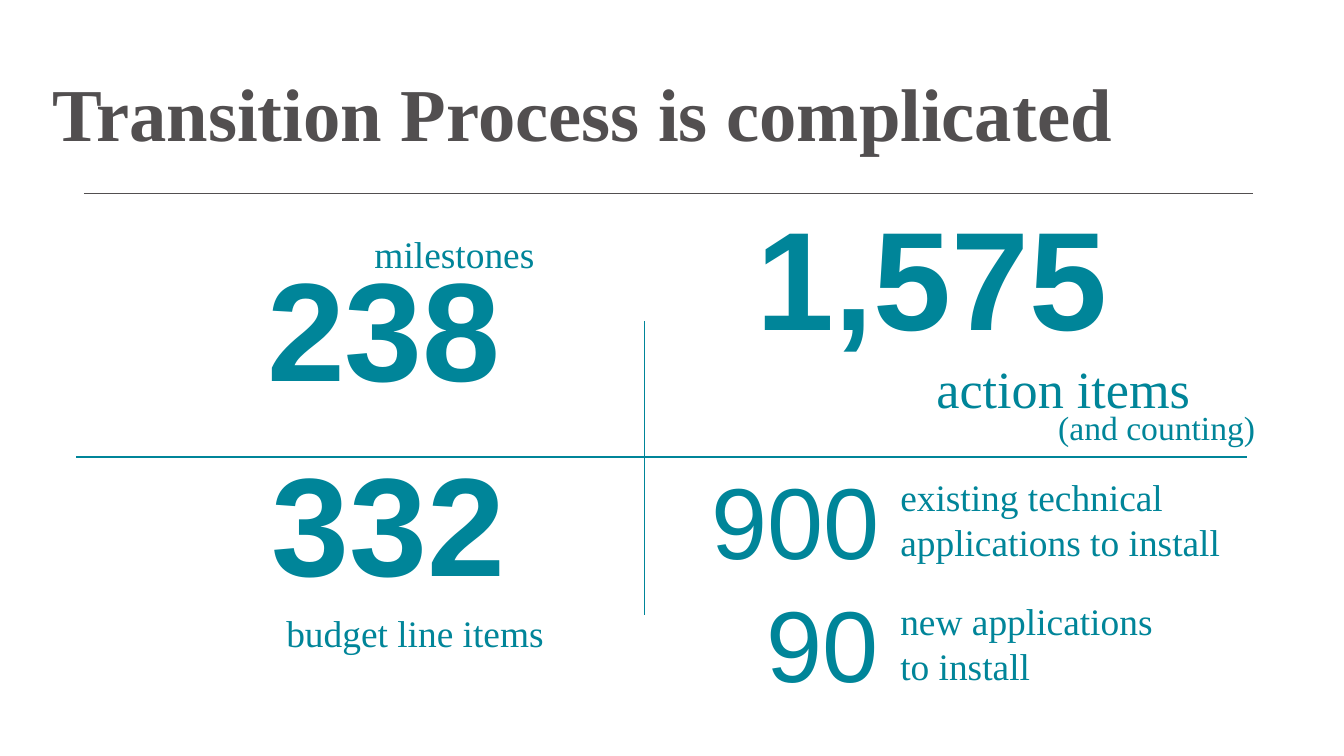
from dataclasses import dataclass
from typing import NamedTuple

from lxml import etree
from pptx import Presentation, util as u
from pptx.dml.color import RGBColor
from pptx.enum import shapes, text
from pptx.oxml.ns import qn


@dataclass(frozen=True)
class Theme:
    teal: RGBColor = RGBColor(0x00, 0x85, 0x99)
    grey: RGBColor = RGBColor(0x52, 0x4F, 0x50)
    serif: str = "Times New Roman"
    sans: str = "Arial"
    title: float = 53.3
    hero: float = 100
    figure: float = 72
    large_label: float = 37.3
    label: float = 26.7
    small_label: float = 24
    rule: float = 1
    hairline: float = 0.75


class Box(NamedTuple):
    """An area of the slide, in grid columns and rows."""
    left: float
    top: float
    width: float
    height: float

    def inside(self, left, top, width, height):
        return Box(self.left + left, self.top + top, width, height)


THEME = Theme()
WIDTH, HEIGHT = u.Inches(13.33), u.Inches(7.5)
COLUMNS, ROWS = 160, 90


def across(columns):
    return round(WIDTH * columns / COLUMNS)


def down(rows):
    return round(HEIGHT * rows / ROWS)


def place(shape, box):
    shape.left, shape.top = across(box.left), down(box.top)
    shape.width, shape.height = across(box.width), down(box.height)


def write(shape, lines, size, font, color=THEME.teal, bold=False, spacing=1.0,
          anchor=text.MSO_ANCHOR.TOP):
    """Fill a shape with one paragraph, a line break between its lines."""
    frame = shape.text_frame
    frame.word_wrap = True
    frame.auto_size = text.MSO_AUTO_SIZE.NONE
    frame.vertical_anchor = anchor
    paragraph = frame.paragraphs[0]
    paragraph.alignment = text.PP_ALIGN.LEFT
    paragraph.line_spacing = spacing
    paragraph.space_before = u.Pt(0)
    for index, line in enumerate(lines):
        if index:
            paragraph.add_line_break()
        run = paragraph.add_run()
        run.text = line
        run.font.size = u.Pt(size)
        run.font.name = font
        run.font.bold = bold
        run.font.color.rgb = color


def add_text_box(slide, box):
    shape = slide.shapes.add_textbox(0, 0, 0, 0)
    place(shape, box)
    return shape


def add_label(slide, box, *lines, size=THEME.label):
    write(add_text_box(slide, box), lines, size, THEME.serif)


def write_number(shape, number, size=THEME.hero, bold=True):
    write(shape, [number], size, THEME.sans, bold=bold, spacing=0.9)


def add_rule(slide, start, end, color=THEME.teal, width=THEME.rule):
    rule = slide.shapes.add_connector(
        shapes.MSO_CONNECTOR.STRAIGHT,
        across(start[0]), down(start[1]), across(end[0]), down(end[1]))
    rule.line.color.rgb = color
    rule.line.width = u.Pt(width)
    etree.SubElement(rule.element.spPr, qn("a:effectLst"))


def add_heading(slide, box):
    title = slide.shapes.title
    place(title, box.inside(0, 0, box.width, 15.4))
    write(title, ["Transition Process is complicated"], THEME.title, THEME.serif,
          THEME.grey, bold=True, spacing=0.9, anchor=text.MSO_ANCHOR.BOTTOM)
    add_rule(slide, (box.left + 5, box.top + 19), (box.left + 144.2, box.top + 19),
             THEME.grey, THEME.hairline)


def add_milestones(slide, box):
    body = slide.placeholders[1]
    place(body, box.inside(21.6, 7.4, 41.4, 23))
    properties = body.text_frame.paragraphs[0]._p.get_or_add_pPr()
    properties.set("marL", "0")
    properties.set("indent", "0")
    etree.SubElement(properties, qn("a:buNone"))
    write_number(body, "238")
    add_label(slide, box.inside(34.4, 3.9, 24.5, 6.6), "milestones")


def add_action_items(slide, box):
    write_number(add_text_box(slide, box.inside(11.9, 1.4, 62.2, 16.2)), "1,575")
    add_label(slide, box.inside(47.8, 24.9, 26.3, 6), "(and counting)",
              size=THEME.small_label)
    add_label(slide, box.inside(33.3, 18.8, 38.3, 8.8), "action items",
              size=THEME.large_label)


def add_budget(slide, box):
    write_number(add_text_box(slide, box.inside(22.2, -0.4, 40.8, 20.9)), "332")
    add_label(slide, box.inside(23.9, 18, 38, 6.6), "budget line items")


def add_applications(slide, box):
    """Stack the application counts, their boxes flush right."""
    items = [("900", 26.3, ["existing technical applications to install"]),
             ("90", 19.7, ["new applications ", "to install"])]
    for index, (number, width, lines) in enumerate(items):
        top = 1.6 + 14.7 * index
        number_box = box.inside(32.8 - width, top, width, 12.7)
        write_number(add_text_box(slide, number_box), number, THEME.figure, bold=False)
        add_label(slide, box.inside(29, top + 0.3, 46.3, 12), *lines)


def add_cross(slide, box):
    """Divide the quadrants with a horizontal and a vertical rule."""
    middle = box.top + 31.4
    add_rule(slide, (box.left + 0.1, middle), (box.left + 139.4, middle))
    add_rule(slide, (box.left + 67.7, box.top + 15.2),
             (box.left + 67.7, box.top + 50.2))


def main():
    presentation = Presentation()
    presentation.slide_width, presentation.slide_height = WIDTH, HEIGHT
    slide = presentation.slides.add_slide(presentation.slide_layouts[1])

    content = Box(9, 23, 143, 62)
    add_heading(slide, Box(5, 4, 147.2, 19))
    add_milestones(slide, content.inside(0, 0, 68, 31))
    add_action_items(slide, content.inside(68, 0, 75, 31))
    add_budget(slide, content.inside(0, 31, 68, 31))
    add_applications(slide, content.inside(68, 31, 75, 31))
    add_cross(slide, content)
    presentation.save("out.pptx")


if __name__ == "__main__":
    main()
